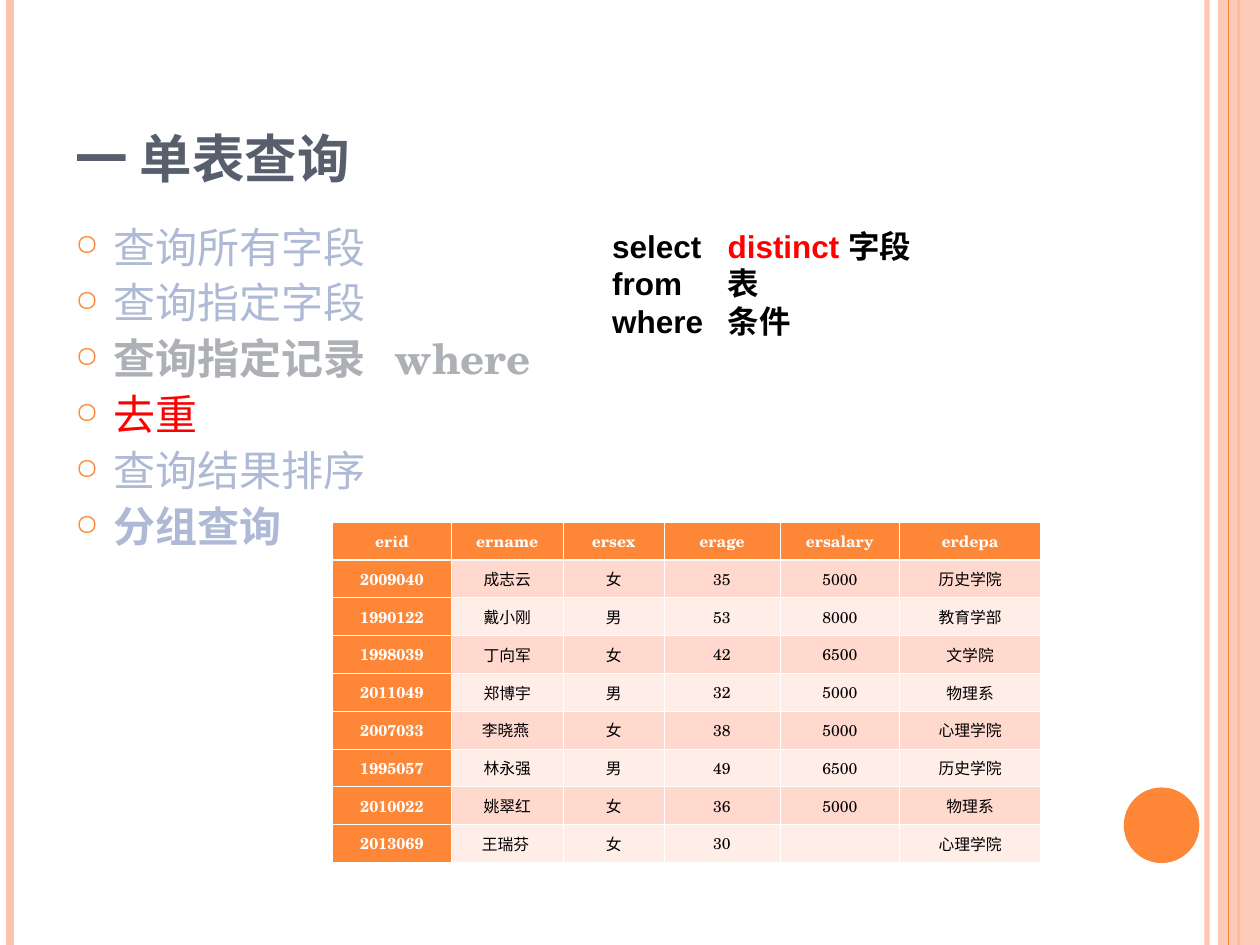
import dataclasses
import typing

import lxml.etree
import pptx
import pptx.dml.color
import pptx.enum.shapes
import pptx.enum.text
import pptx.oxml.ns
import pptx.util

Pt = pptx.util.Pt
qn = pptx.oxml.ns.qn
Anchor = pptx.enum.text.MSO_ANCHOR
Align = pptx.enum.text.PP_ALIGN
Kind = pptx.enum.shapes.MSO_SHAPE


@dataclasses.dataclass(frozen=True)
class Theme:
    serif: str = "TeX Gyre Schola"
    sans: str = "Arial"
    accent: str = "FE8637"
    pale: str = "FEC3AE"
    slate: str = "575F6D"
    faded: str = "AEBAD5"
    gray: str = "ADB0B5"
    red: str = "FF0000"
    black: str = "000000"
    white: str = "FFFFFF"
    bands: tuple[str, str] = ("FFD9CE", "FFEDE8")
    title: float = 30
    body: float = 24
    code: float = 18
    cell: float = 9


class Box(typing.NamedTuple):
    left: float
    top: float
    width: float
    height: float


class Stripe(typing.NamedTuple):
    x: float
    color: str
    width: float
    alpha: int = 100


class Topic(typing.NamedTuple):
    text: str
    color: str
    bold: bool = False
    tab: float = 0


LOOK = Theme()
WIDTH, HEIGHT = 720, 540

LEFT = [Stripe(689.8, LOOK.pale, 3, 93), Stripe(5.8, LOOK.pale, 4.5),
        Stripe(707.8, LOOK.accent, 1.5)]
RIGHT = Stripe(702, LOOK.accent, 0.75)

TOPICS = [
    Topic("查询所有字段", LOOK.faded),
    Topic("查询指定字段", LOOK.faded),
    Topic("查询指定记录\twhere", LOOK.gray, True, 182.5),
    Topic("去重", LOOK.red),
    Topic("查询结果排序", LOOK.faded),
    Topic("分组查询", LOOK.faded, True),
]

CODE = [
    [("select\t", LOOK.black), ("distinct ", LOOK.red), ("字段", LOOK.black)],
    [("from\t表", LOOK.black)],
    [("where\t条件", LOOK.black)],
]

COLS = [67.7, 64.1, 57.6, 66.2, 68.4, 80.6]
ROWS = [
    ("erid", "ername", "ersex", "erage", "ersalary", "erdepa"),
    ("2009040", "成志云", "女", "35", "5000", "历史学院"),
    ("1990122", "戴小刚", "男", "53", "8000", "教育学部"),
    ("1998039", "丁向军", "女", "42", "6500", "文学院"),
    ("2011049", "郑博宇", "男", "32", "5000", "物理系"),
    ("2007033", "李晓燕 ", "女", "38", "5000", "心理学院"),
    ("1995057", "林永强", "男", "49", "6500", "历史学院"),
    ("2010022", "姚翠红", "女", "36", "5000", "物理系"),
    ("2013069", "王瑞芬 ", "女", "30", "", "心理学院"),
]


def rgb(color: str) -> pptx.dml.color.RGBColor:
    return pptx.dml.color.RGBColor.from_string(color)


def node(parent, tag: str, **attrs):
    """Append a drawing element and return it."""
    return lxml.etree.SubElement(parent, qn(tag), attrs)


def fade(shape, alpha: int) -> None:
    """Set the opacity, in percent, of a shape's colour."""
    color = next(shape._element.spPr.iter(qn("a:srgbClr")))
    node(color, "a:alpha", val=str(alpha * 1000))


def write(par, text: str, *, size: float, color: str,
          font: str = LOOK.serif, bold: bool = False) -> None:
    """Add a run; an empty text only fixes the line's size."""
    if not text:
        node(par._p, "a:endParaRPr", sz=str(int(size * 100)))
        return
    run = par.add_run()
    run.text = text
    run.font.size = Pt(size)
    run.font.name = font
    run.font.bold = bold
    run.font.color.rgb = rgb(color)


def frame(slide, box: Box, anchor=Anchor.TOP):
    text = slide.shapes.add_textbox(*map(Pt, box)).text_frame
    text.word_wrap = True
    text.vertical_anchor = anchor
    return text


def lines(text, count: int) -> list:
    """Return the given number of paragraphs of a text frame."""
    return [text.paragraphs[0]] + [text.add_paragraph() for _ in range(count - 1)]


def stop(par, pos: float) -> None:
    """Set one left tab stop."""
    tabs = node(par._p.get_or_add_pPr(), "a:tabLst")
    node(tabs, "a:tab", pos=str(Pt(pos)), algn="l")


def stripe(slide, item: Stripe) -> None:
    line = slide.shapes.add_connector(
        pptx.enum.shapes.MSO_CONNECTOR.STRAIGHT,
        Pt(item.x), Pt(0), Pt(item.x), Pt(HEIGHT))
    line.line.color.rgb = rgb(item.color)
    line.line.width = Pt(item.width)
    if item.alpha < 100:
        fade(line, item.alpha)
    node(line._element.spPr, "a:effectLst")


def solid(slide, kind, box: Box, color: str):
    shape = slide.shapes.add_shape(kind, *map(Pt, box))
    shape.shadow.inherit = False
    shape.fill.solid()
    shape.fill.fore_color.rgb = rgb(color)
    shape.line.fill.background()
    return shape


def bullet(par, item: Topic) -> None:
    par.line_spacing = 0.9
    par.space_before = Pt(6)
    props = par._p.get_or_add_pPr()
    props.set("marL", str(Pt(21.6)))
    props.set("indent", str(-Pt(21.6)))
    node(node(props, "a:buClr"), "a:srgbClr", val=LOOK.accent)
    node(props, "a:buSzPct", val="70000")
    node(props, "a:buChar", char="○")
    if item.tab:
        stop(par, item.tab)
    write(par, item.text, size=LOOK.body, color=item.color, bold=item.bold)


def border(cell, top: float, base: float) -> None:
    props = cell._tc.get_or_add_tcPr()
    widths = {"a:lnL": 0.45, "a:lnR": 0.45, "a:lnT": top, "a:lnB": base}
    for spot, (tag, width) in enumerate(widths.items()):
        edge = node(props, tag, w=str(Pt(width)))
        node(node(edge, "a:solidFill"), "a:srgbClr", val=LOOK.white)
        props.insert(spot, edge)


def grid(slide, left: float, top: float, step: float) -> None:
    box = Box(left, top, sum(COLS), step * len(ROWS))
    table = slide.shapes.add_table(len(ROWS), len(COLS), *map(Pt, box)).table
    for col, width in zip(table.columns, COLS):
        col.width = Pt(width)
    for y, row in enumerate(ROWS):
        table.rows[y].height = Pt(step)
        for x, text in enumerate(row):
            cell = table.cell(y, x)
            head = x == 0 or y == 0
            cell.vertical_anchor = Anchor.MIDDLE
            cell.margin_left = cell.margin_right = Pt(4.5)
            cell.margin_top = cell.margin_bottom = Pt(3.6)
            cell.fill.solid()
            cell.fill.fore_color.rgb = rgb(
                LOOK.accent if head else LOOK.bands[(y - 1) % 2])
            border(cell, 1.47 if y == 1 else 0.45, 1.47 if y == 0 else 0.45)
            par = cell.text_frame.paragraphs[0]
            par.alignment = Align.CENTER
            write(par, text, size=LOOK.cell, bold=head,
                  color=LOOK.white if head else LOOK.black,
                  font=LOOK.serif if text.isascii() else LOOK.sans)


def main() -> None:
    deck = pptx.Presentation()
    deck.slide_width, deck.slide_height = Pt(WIDTH), Pt(HEIGHT)
    slide = deck.slides.add_slide(deck.slide_layouts[6])

    for item in LEFT:
        stripe(slide, item)
    fade(solid(slide, Kind.RECTANGLE, Box(696, 0, 24, HEIGHT), LOOK.pale), 87)
    stripe(slide, RIGHT)
    solid(slide, Kind.OVAL, Box(642.2, 450, 43.2, 43.2), LOOK.accent)

    title = frame(slide, Box(36, 21.6, 588, 90), Anchor.BOTTOM)
    write(title.paragraphs[0], "一 单表查询", size=LOOK.title,
          color=LOOK.slate, bold=True)

    body = frame(slide, Box(36, 126, 588, 384))
    for par, item in zip(lines(body, len(TOPICS)), TOPICS):
        bullet(par, item)

    code = frame(slide, Box(342.7, 126, 327, 72))
    for par, runs in zip(lines(code, len(CODE)), CODE):
        stop(par, 66)
        for text, color in runs:
            write(par, text, size=LOOK.code, color=color,
                  font=LOOK.sans, bold=True)

    grid(slide, 190.1, 298.4, 21.6)
    deck.save("out.pptx")


if __name__ == "__main__":
    main()
